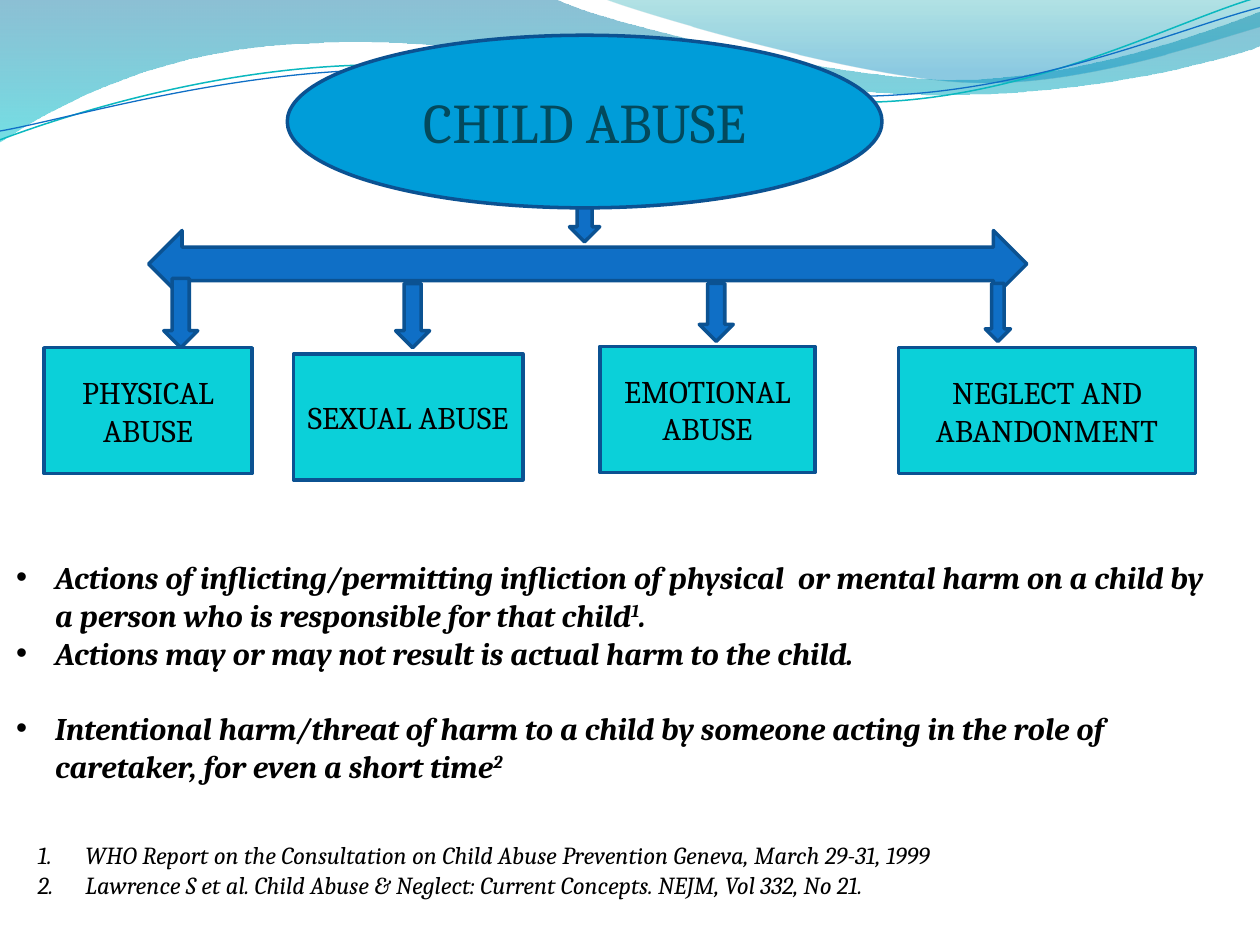
from math import cos, radians, sin
from lxml.etree import SubElement
from pptx import Presentation
from pptx.dml.color import RGBColor
from pptx.enum.shapes import MSO_SHAPE as Shape
from pptx.enum.text import MSO_ANCHOR as Anchor, MSO_AUTO_SIZE as AutoSize, PP_ALIGN as Align
from pptx.oxml.ns import qn
from pptx.util import Inches, Pt

THEME = {
    "font": "Cambria",
    "title": {"size": 32, "color": "03495C"},
    "label": {"size": 18, "color": "000000"},
    "body": {"size": 18, "color": "000000", "bold": True, "italic": True},
    "reference": {"size": 14, "color": "000000", "italic": True},
    "oval": "009DD9", "box": "0BD0D9", "arrow": "0F6FC6",
    "outline": "0B5292", "outline_width": 2,
    "teal_line": "0AB8BF", "blue_line": "0F6FC6",
    "wave_back": [(0, "0074A1", 45), (1, "00C6CF", 55)],
    "wave_front": [(0, "00A1A9", 30), (0.8, "008BBF", 45)],
}

WAVES = [
    ("wave_back", [
        (0, 0), (4.4, -0.01), (4.76, 0.17, 6.64, 0.63, 7.58, 0.63),
        (8.53, 0.63, 9.58, 0.26, 10, 0.09), (10.01, 0.36),
        (9.83, 0.44, 8.7, 0.76, 7.46, 0.75), (6.22, 0.75, 3.82, 0.28, 2.57, 0.34),
        (1.29, 0.36, 0.46, 0.83, -0.01, 1.13), (0, 0)]),
    ("wave_front", [
        (4.79, -0.01), (5.09, 0.11, 6.82, 0.62, 7.69, 0.65),
        (8.56, 0.69, 9.61, 0.32, 10, 0.21), (10, 0), (4.79, -0.01)]),
]
WAVE_LINES = [
    ("teal_line", 0.85, (4.99, 0.57), [
        (0, 1.11), (0.48, 0.93, 1.58, 0.57, 2.77, 0.52),
        (3.95, 0.47, 5.93, 0.89, 7.13, 0.8), (8.33, 0.71, 9.38, 0.15, 9.98, -0.02)]),
    ("blue_line", 0.75, (5, 0.59), [
        (0, 1.04), (0.47, 0.96, 1.64, 0.61, 2.83, 0.56),
        (4.03, 0.51, 5.97, 0.84, 7.17, 0.75), (8.36, 0.67, 9.41, 0.21, 10, 0.06)]),
]
LINE_TILT = -2.7
TITLE = ("CHILD ABUSE", (2.28, 0.28, 4.72, 1.37))
TYPES = [
    ("PHYSICAL ABUSE", (0.35, 2.76, 1.65, 1)),
    ("EMOTIONAL ABUSE", (4.76, 2.75, 1.71, 1)),
    ("SEXUAL ABUSE", (2.33, 2.81, 1.82, 1)),
    ("NEGLECT AND ABANDONMENT", (7.13, 2.76, 2.36, 1)),
]
ARROWS = [
    (Shape.LEFT_RIGHT_ARROW, (1.18, 1.83, 6.97, 0.53)),
    (Shape.DOWN_ARROW, (1.3, 2.21, 0.27, 0.55)),
    (Shape.DOWN_ARROW, (3.14, 2.25, 0.27, 0.51)),
    (Shape.DOWN_ARROW, (5.55, 2.25, 0.27, 0.46)),
    (Shape.DOWN_ARROW, (7.82, 2.25, 0.2, 0.46)),
    (Shape.DOWN_ARROW, (4.52, 1.65, 0.24, 0.27)),
]
DEFINITIONS = [
    (0, [("Actions of inflicting/permitting infliction of physical  or mental harm "
          "on a child by a person who is responsible for that child", False),
         ("1", True), (".", False)]),
    (0, [("Actions may or may not result is actual harm to the child.", False)]),
    (21.5, [("Intentional harm/threat of harm to a child by someone acting in the "
             "role of  caretaker, for even a short time", False), ("2", True)]),
]
REFERENCES = [
    (0, [("WHO Report on the Consultation on Child Abuse Prevention Geneva, "
          "March 29-31, 1999", False)]),
    (0, [("Lawrence S et al. Child Abuse & Neglect: Current Concepts. NEJM, "
          "Vol 332, No 21.", False)]),
]


def rgb(value):
    return RGBColor.from_string(value)


def turn(segment, center, degrees):
    c, s = cos(radians(degrees)), sin(radians(degrees))
    offsets = [(x - center[0], y - center[1]) for x, y in zip(segment[::2], segment[1::2])]
    return tuple(value for x, y in offsets
                 for value in (center[0] + x * c - y * s, center[1] + x * s + y * c))


def add_path(page, segments, close):
    points = [(Inches(x), Inches(y)) for segment in segments
              for x, y in zip(segment[::2], segment[1::2])]
    builder = page.shapes.build_freeform(*points[0])
    builder.add_line_segments(points[1:], close=close)
    shape = builder.convert_to_shape()
    shape.shadow.inherit = False
    outline = next(shape.element.iter(qn("a:path")))
    steps = iter(outline.findall(qn("a:lnTo")))
    for segment in segments[1:]:
        step = next(steps)
        if len(segment) == 6:
            curve = SubElement(outline, qn("a:cubicBezTo"))
            outline.replace(step, curve)
            for part in (step, next(steps), next(steps)):
                curve.append(part[0])
                if part.getparent() is not None:
                    outline.remove(part)
    return shape


def add_wave(page, name, segments):
    shape = add_path(page, segments, True)
    shape.line.fill.background()
    shape.fill.gradient()
    shape.fill.gradient_angle = 270
    for stop, (position, color, opacity) in zip(shape.fill.gradient_stops, THEME[name]):
        stop.position = position
        stop.color.rgb = rgb(color)
    colors = shape.element.spPr.find(qn("a:gradFill")).iter(qn("a:srgbClr"))
    for element, (position, color, opacity) in zip(colors, THEME[name]):
        SubElement(element, qn("a:alpha")).set("val", str(opacity * 1000))


def add_wave_line(page, name, width, center, segments):
    level = [turn(segment, center, -LINE_TILT) for segment in segments]
    shape = add_path(page, level, False)
    shape.rotation = LINE_TILT
    shape.fill.background()
    shape.line.color.rgb = rgb(THEME[name])
    shape.line.width = Pt(width)


def add_block(page, kind, place, fill):
    shape = page.shapes.add_shape(kind, *map(Inches, place))
    shape.shadow.inherit = False
    shape.fill.solid()
    shape.fill.fore_color.rgb = rgb(THEME[fill])
    shape.line.color.rgb = rgb(THEME["outline"])
    shape.line.width = Pt(THEME["outline_width"])
    return shape


def add_span(para, text, style, raised=False):
    span = para.add_run()
    span.text = text
    formats = {**THEME[style], "name": THEME["font"]}
    span.font.color.rgb = rgb(formats.pop("color"))
    formats["size"] = Pt(formats["size"])
    for key, value in formats.items():
        setattr(span.font, key, value)
    if raised:
        span.font._element.set("baseline", "30000")


def add_label(shape, text, style):
    frame = shape.text_frame
    frame.word_wrap = True
    frame.vertical_anchor = Anchor.MIDDLE
    frame.paragraphs[0].alignment = Align.CENTER
    add_span(frame.paragraphs[0], text, style)


def add_list(page, place, items, style, indent, bullets, wrap):
    frame = page.shapes.add_textbox(*map(Inches, place)).text_frame
    frame.word_wrap = wrap
    frame.auto_size = AutoSize.SHAPE_TO_FIT_TEXT
    for index, (gap, spans) in enumerate(items):
        para = frame.add_paragraph() if index else frame.paragraphs[0]
        properties = para._p.get_or_add_pPr()
        properties.set("marL", str(Inches(indent)))
        properties.set("indent", str(-Inches(indent)))
        for tag, key, value in bullets:
            SubElement(properties, qn(tag)).set(key, value)
        if gap:
            para.space_before = Pt(gap)
        for text, raised in spans:
            add_span(para, text, style, raised)


def main():
    deck = Presentation()
    deck.slide_width, deck.slide_height = Inches(10), Inches(7.5)
    page = deck.slides.add_slide(deck.slide_layouts[6])
    for wave in WAVES:
        add_wave(page, *wave)
    for line in WAVE_LINES:
        add_wave_line(page, *line)
    text, place = TITLE
    add_label(add_block(page, Shape.OVAL, place, "oval"), text, "title")
    for text, place in TYPES:
        add_label(add_block(page, Shape.RECTANGLE, place, "box"), text, "label")
    add_list(page, (0.03, 4.38, 9.8, 1.92), DEFINITIONS, "body", 0.31,
             [("a:buFont", "typeface", "Arial"), ("a:buChar", "char", "•")], True)
    add_list(page, (0.2, 6.62, 7.55, 0.88), REFERENCES, "reference", 0.38,
             [("a:buAutoNum", "type", "arabicPeriod")], False)
    for kind, place in ARROWS:
        add_block(page, kind, place, "arrow")
    deck.save("out.pptx")


if __name__ == "__main__":
    main()
